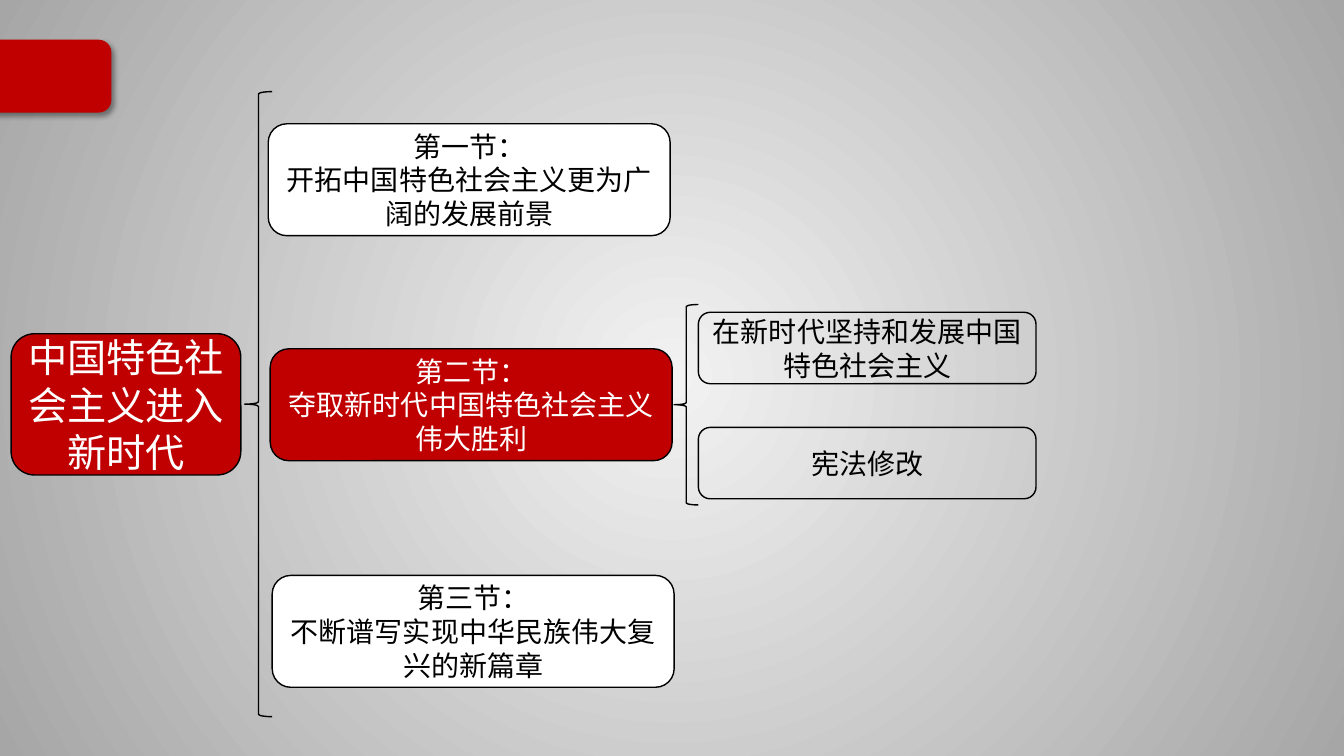
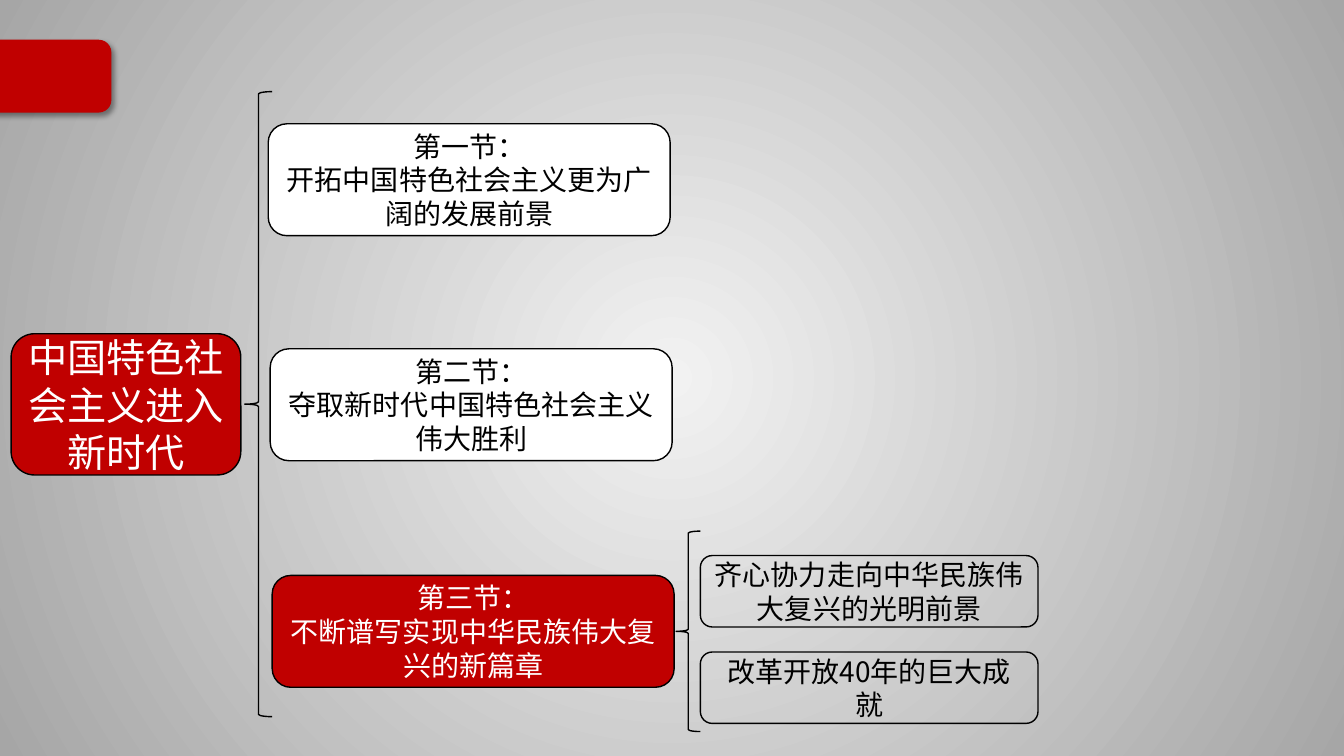
from dataclasses import dataclass

from lxml import etree
from pptx import Presentation
from pptx.dml.color import RGBColor
from pptx.enum.shapes import MSO_SHAPE
from pptx.enum.text import MSO_ANCHOR, PP_ALIGN
from pptx.oxml.ns import qn
from pptx.util import Cm, Pt

ROUNDED = MSO_SHAPE.ROUNDED_RECTANGLE
BRACE = MSO_SHAPE.LEFT_BRACE
CENTER = PP_ALIGN.CENTER
MIDDLE = MSO_ANCHOR.MIDDLE

COLORS = {
    "red": "C00000",
    "white": "FFFFFF",
    "black": "000000",
    "glow": "F2F2F2",
    "edge": "A6A6A6",
}
FONT = "Noto Sans CJK SC"
BLANK_LAYOUT = 6

SECTION_LEFT, SECTION_STEP = 6.76, 0.05
SECTION_WIDTH, SECTION_HEIGHT = 10.13, 2.82
BRACE_GAP, BRACE_WIDTH, BRACE_HEIGHT = 0.05, 0.61, 5.05
TOPIC_WIDTH, TOPIC_HEIGHT = 8.51, 1.8


@dataclass(frozen=True)
class Box:
    left: float
    top: float
    width: float
    height: float


@dataclass(frozen=True)
class Section:
    top: float
    text: str


@dataclass(frozen=True)
class Topic:
    top: float
    text: str


@dataclass(frozen=True)
class Outline:
    active: int
    topics: tuple[Topic, ...]


TAB = Box(-0.46, 1.02, 3.25, 1.8)
ROOT = Box(0.28, 8.41, 5.79, 3.56)
ROOT_BRACE = Box(6.17, 2.31, 0.69, 15.75)
ROOT_TEXT = "中国特色社会主义进入新时代"

SECTIONS = (
    Section(3.12, "第一节：\n开拓中国特色社会主义更为广阔的发展前景"),
    Section(8.79, "第二节：\n夺取新时代中国特色社会主义伟大胜利"),
    Section(14.5, "第三节：\n不断谱写实现中华民族伟大复兴的新篇章"),
)
OUTLINES = (
    Outline(1, (
        Topic(7.87, "在新时代坚持和发展中国特色社会主义"),
        Topic(10.77, "宪法修改"),
    )),
    Outline(2, (
        Topic(14.0, "齐心协力走向中华民族伟大复兴的光明前景"),
        Topic(16.43, "改革开放40年的巨大成就"),
    )),
)


def rgb(name: str) -> RGBColor:
    return RGBColor.from_string(COLORS[name])


def add_outlined(slide, preset, box: Box, fill: str | None = None, line: str = "black"):
    shape = slide.shapes.add_shape(
        preset, Cm(box.left), Cm(box.top), Cm(box.width), Cm(box.height)
    )
    shape.shadow.inherit = False
    if fill:
        shape.fill.solid()
        shape.fill.fore_color.rgb = rgb(fill)
    else:
        shape.fill.background()
    shape.line.color.rgb = rgb(line)
    shape.line.width = Pt(1)
    return shape


def add_label(slide, box: Box, text: str, fill: str | None = None, size: int = 20) -> None:
    frame = add_outlined(slide, ROUNDED, box, fill).text_frame
    frame.word_wrap = True
    frame.vertical_anchor = MIDDLE
    frame.text = text
    for paragraph in frame.paragraphs:
        paragraph.alignment = CENTER
        paragraph.font.name = FONT
        paragraph.font.size = Pt(size)
        paragraph.font.color.rgb = rgb("white" if fill == "red" else "black")
        defaults = paragraph._p.pPr.find(qn("a:defRPr"))
        etree.SubElement(defaults, qn("a:ea"), typeface=FONT)


def style_background(master) -> None:
    fill = master.background.fill
    fill.gradient()
    for stop, name in zip(fill.gradient_stops, ("glow", "edge")):
        stop.color.rgb = rgb(name)
    gradient = master.element.find(".//" + qn("a:gradFill"))
    gradient.remove(gradient.find(qn("a:lin")))
    radial = etree.SubElement(gradient, qn("a:path"), {"path": "circle"})
    etree.SubElement(radial, qn("a:fillToRect"), l="50000", t="50000", r="50000", b="50000")


def add_layout_tab(slide) -> None:
    tab = add_outlined(slide, ROUNDED, TAB, "red", "red")
    effects = tab.element.spPr.find(qn("a:effectLst"))
    shadow = etree.SubElement(
        effects, qn("a:outerShdw"), blurRad=str(Pt(4)), dist=str(Pt(3)),
        dir="2700000", algn="tl", rotWithShape="0",
    )
    color = etree.SubElement(shadow, qn("a:srgbClr"), val=COLORS["black"])
    etree.SubElement(color, qn("a:alpha"), val="40000")
    slide.slide_layout.shapes.element.append(tab.element)


def section_box(index: int) -> Box:
    left = SECTION_LEFT + index * SECTION_STEP
    return Box(left, SECTIONS[index].top, SECTION_WIDTH, SECTION_HEIGHT)


def draw_outline(slide, outline: Outline) -> None:
    add_label(slide, ROOT, ROOT_TEXT, "red", 28)
    add_outlined(slide, BRACE, ROOT_BRACE)
    for index, section in enumerate(SECTIONS):
        fill = "red" if index == outline.active else "white"
        add_label(slide, section_box(index), section.text, fill)

    active = section_box(outline.active)
    brace_left = active.left + active.width + BRACE_GAP
    brace_top = active.top + (active.height - BRACE_HEIGHT) / 2
    add_outlined(slide, BRACE, Box(brace_left, brace_top, BRACE_WIDTH, BRACE_HEIGHT))
    for topic in outline.topics:
        box = Box(brace_left + BRACE_WIDTH, topic.top, TOPIC_WIDTH, TOPIC_HEIGHT)
        add_label(slide, box, topic.text)


def main() -> None:
    presentation = Presentation()
    presentation.slide_width = Cm(33.87)
    presentation.slide_height = Cm(19.05)
    style_background(presentation.slide_master)
    layout = presentation.slide_layouts[BLANK_LAYOUT]
    slides = [presentation.slides.add_slide(layout) for _ in OUTLINES]
    add_layout_tab(slides[0])
    for slide, outline in zip(slides, OUTLINES):
        draw_outline(slide, outline)
    presentation.save("out.pptx")


if __name__ == "__main__":
    main()
